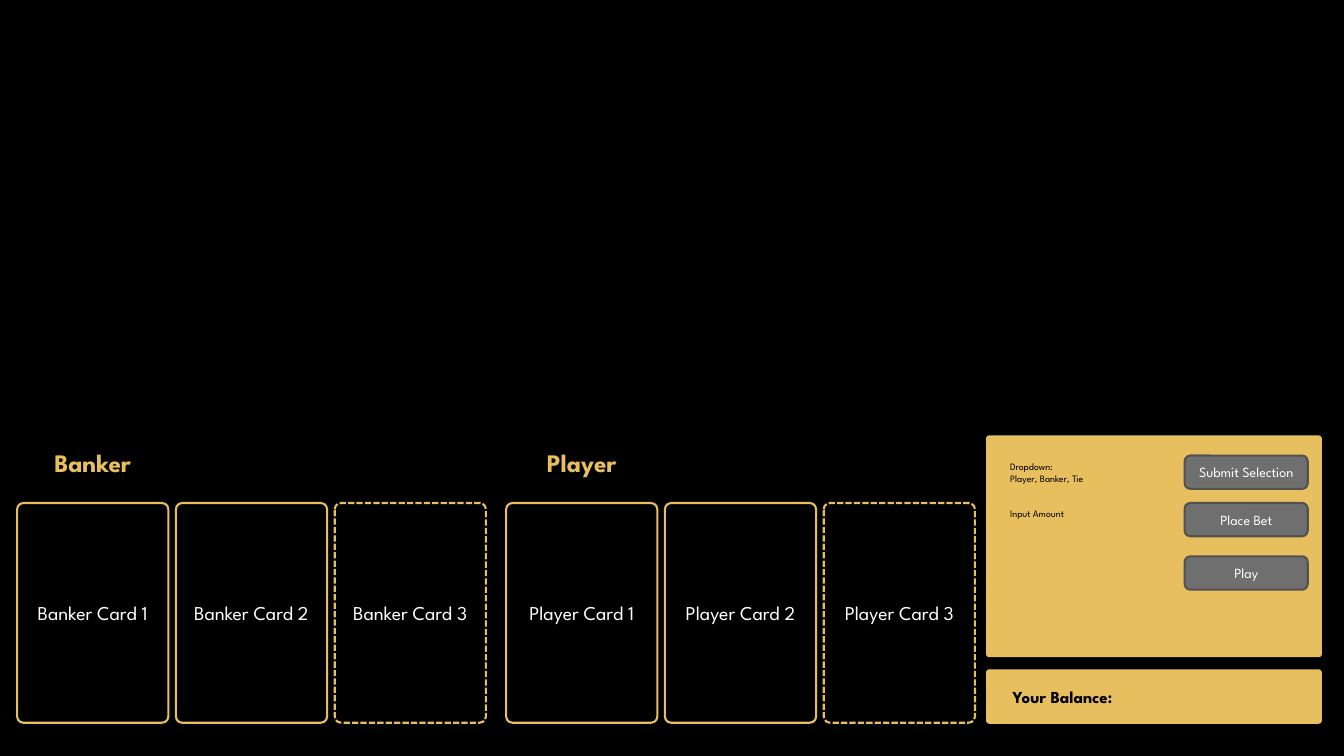
from dataclasses import dataclass
from typing import Optional

from pptx import Presentation
from pptx.dml.color import RGBColor
from pptx.enum.dml import MSO_LINE
from pptx.enum.shapes import MSO_SHAPE
from pptx.enum.text import MSO_ANCHOR, MSO_AUTO_SIZE, PP_ALIGN
from pptx.slide import Slide
from pptx.text.text import TextFrame
from pptx.util import Inches, Pt

ROUNDED = MSO_SHAPE.ROUNDED_RECTANGLE
DASHED = MSO_LINE.SQUARE_DOT
MIDDLE = MSO_ANCHOR.MIDDLE
CENTER = PP_ALIGN.CENTER
LEFT = PP_ALIGN.LEFT
GROW = MSO_AUTO_SIZE.SHAPE_TO_FIT_TEXT

FONT = "League Spartan"
COLORS = {
    "black": "000000",
    "white": "FFFFFF",
    "gold": "E7BF5F",
    "gray": "6F6F6F",
    "dark gray": "525252",
}

CARD_WIDTH, CARD_HEIGHT, CARD_PITCH = 1.5, 2.18, 1.575
HEADING_TOP, CARD_TOP = 4.33, 4.99
BAR_HEIGHT, BAR_TOP = 0.52, 6.65
PANEL_LEFT, PANEL_WIDTH = 9.79, 3.31
BUTTON_LEFT, BUTTON_WIDTH, BUTTON_HEIGHT = 11.75, 1.22, 0.33
NOTE_LEFT, NOTE_WIDTH = 9.92, 1.25


@dataclass(frozen=True)
class BoxStyle:
    fill: Optional[str] = None
    line: Optional[str] = None
    text: str = "white"
    size: int = 14
    bold: bool = False
    corner: float = 0.167


@dataclass(frozen=True)
class Hand:
    name: str
    left: float


@dataclass(frozen=True)
class Label:
    text: str
    top: float
    height: float


CARD = BoxStyle(line="gold", corner=0.042)
HEADING = BoxStyle(text="gold", size=18, bold=True)
BALANCE = BoxStyle(text="black", size=12, bold=True)
BALANCE_BAR = BoxStyle(fill="gold", line="gold", corner=0.044)
PANEL = BoxStyle(fill="gold", line="gold", corner=0.01)
BUTTON = BoxStyle(fill="gray", line="dark gray", size=10)

HANDS = [Hand("Banker", 0.17), Hand("Player", 5.02)]
BUTTONS = [
    Label("Submit Selection", 4.52, BUTTON_HEIGHT),
    Label("Place Bet", 4.99, BUTTON_HEIGHT),
    Label("Play", 5.52, BUTTON_HEIGHT),
]
NOTES = [
    Label("Dropdown:\nPlayer, Banker, Tie", 4.52, 0.34),
    Label("Input Amount", 4.99, 0.22),
]


def color(name: str) -> RGBColor:
    return RGBColor.from_string(COLORS[name])


def write_text(text_frame: TextFrame, text: str, size: int, text_color: str,
               bold: bool = False, alignment: PP_ALIGN = CENTER) -> None:
    text_frame.word_wrap = True
    text_frame.text = text
    for paragraph in text_frame.paragraphs:
        paragraph.alignment = alignment
        for run in paragraph.runs:
            run.font.name = FONT
            run.font.size = Pt(size)
            run.font.bold = bold
            run.font.color.rgb = color(text_color)


def add_box(slide: Slide, left: float, top: float, width: float, height: float,
            style: BoxStyle, text: str = "", dashed: bool = False) -> None:
    shape = slide.shapes.add_shape(
        ROUNDED, Inches(left), Inches(top), Inches(width), Inches(height))
    shape.shadow.inherit = False
    shape.adjustments[0] = style.corner
    if style.fill:
        shape.fill.solid()
        shape.fill.fore_color.rgb = color(style.fill)
    else:
        shape.fill.background()
    if style.line:
        shape.line.color.rgb = color(style.line)
        shape.line.width = Pt(1.5)
    else:
        shape.line.fill.background()
    if dashed:
        shape.line.dash_style = DASHED
    if text:
        shape.text_frame.vertical_anchor = MIDDLE
        write_text(shape.text_frame, text, style.size, style.text, style.bold)


def add_hand(slide: Slide, hand: Hand) -> None:
    add_box(slide, hand.left, HEADING_TOP, CARD_WIDTH, BAR_HEIGHT, HEADING, hand.name)
    for index in range(3):
        add_box(slide, hand.left + index * CARD_PITCH, CARD_TOP, CARD_WIDTH,
                CARD_HEIGHT, CARD, f"{hand.name} Card {index + 1}", dashed=index == 2)


def add_note(slide: Slide, note: Label) -> None:
    box = slide.shapes.add_textbox(
        Inches(NOTE_LEFT), Inches(note.top), Inches(NOTE_WIDTH), Inches(note.height))
    write_text(box.text_frame, note.text, 7, "black", alignment=LEFT)
    box.text_frame.auto_size = GROW


def main() -> None:
    presentation = Presentation()
    presentation.slide_width = Inches(13.33)
    presentation.slide_height = Inches(7.5)
    slide = presentation.slides.add_slide(presentation.slide_layouts[6])
    slide.background.fill.solid()
    slide.background.fill.fore_color.rgb = color("black")

    for hand in HANDS:
        add_hand(slide, hand)

    add_box(slide, PANEL_LEFT, BAR_TOP, PANEL_WIDTH, BAR_HEIGHT, BALANCE_BAR)
    add_box(slide, PANEL_LEFT, BAR_TOP, CARD_WIDTH, BAR_HEIGHT, BALANCE, "Your Balance:")

    add_box(slide, PANEL_LEFT, HEADING_TOP, PANEL_WIDTH, CARD_HEIGHT, PANEL)
    for button in BUTTONS:
        add_box(slide, BUTTON_LEFT, button.top, BUTTON_WIDTH, button.height,
                BUTTON, button.text)
    for note in NOTES:
        add_note(slide, note)

    presentation.save("out.pptx")


if __name__ == "__main__":
    main()
